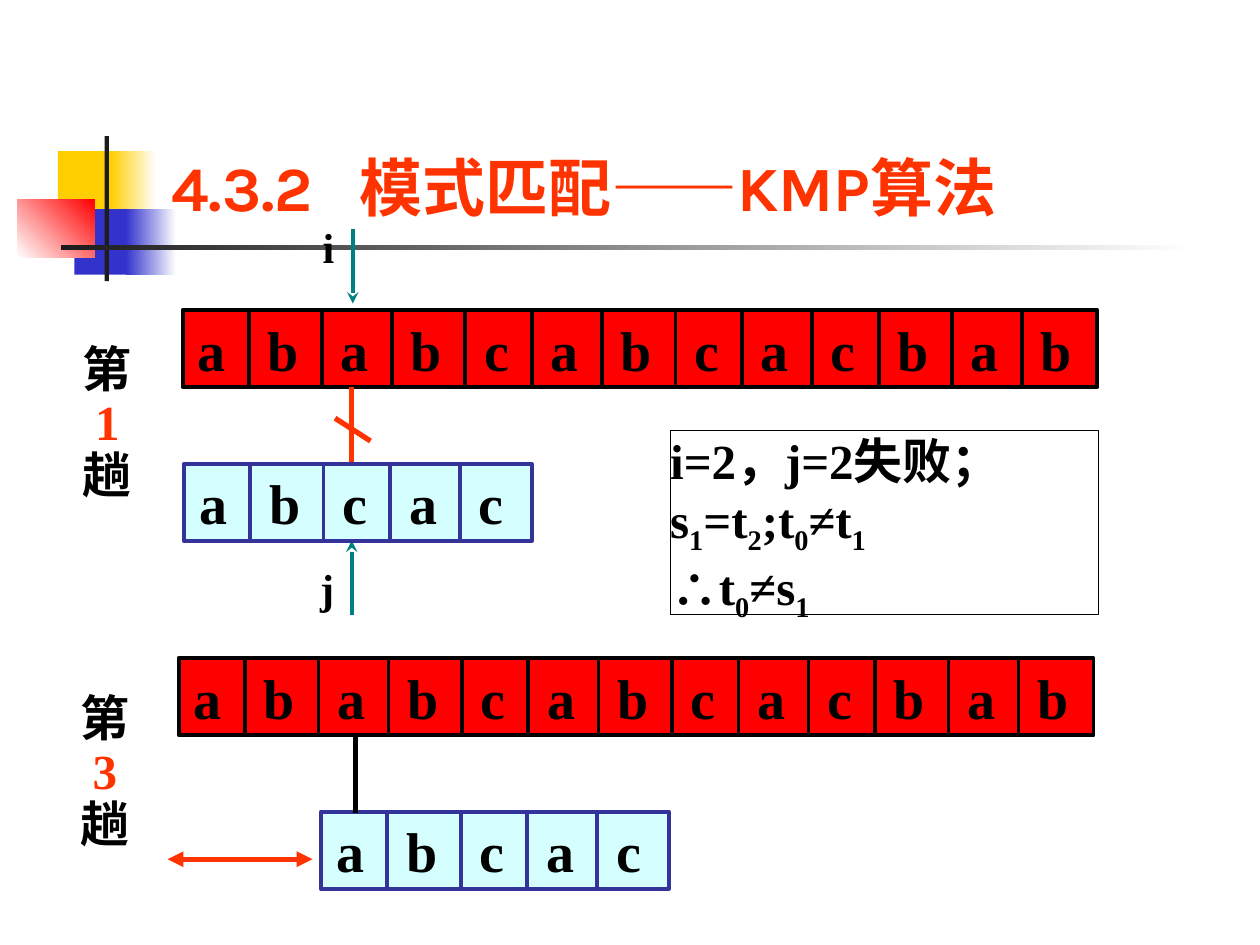
from itertools import accumulate

from lxml import etree
from pptx import Presentation
from pptx import util as u
from pptx.dml import color
from pptx.enum import shapes, text
from pptx.oxml import ns

SERIF = "Times New Roman"
BLACK, RED, ORANGE, TEAL, NAVY = "000000", "FF0000", "FF3300", "008080", "333399"
ADVANCE = {"a": 40, "b": 41.8, "c": 38.2}
INSET = 8.64
ROW_HEIGHT = 44.2


def rgb(code):
    """Turn a hex string into a colour."""
    return color.RGBColor.from_string(code)


def add_element(parent, tag, **attributes):
    """Append a DrawingML element to a parent."""
    return etree.SubElement(parent, ns.qn(tag), attributes)


def write(box, paragraphs, size=28, font=SERIF, ink=BLACK, bold=True, insets=(0, 0, 0, 0),
          anchor=text.MSO_ANCHOR.TOP, wrap=True, line_spacing=None, tabs=()):
    """Fill a box with paragraphs, each a list of (words, overrides) spans."""
    frame = box.text_frame
    frame.word_wrap = wrap
    frame.vertical_anchor = anchor
    frame.margin_left, frame.margin_top, frame.margin_right, frame.margin_bottom = map(u.Pt, insets)
    for index, spans in enumerate(paragraphs):
        para = frame.add_paragraph() if index else frame.paragraphs[0]
        para.alignment = text.PP_ALIGN.LEFT
        if line_spacing:
            para.line_spacing = line_spacing
        if tabs:
            stops = add_element(para._p.get_or_add_pPr(), "a:tabLst")
            for stop in tabs:
                add_element(stops, "a:tab", pos=str(int(u.Pt(stop))), algn="l")
        for words, override in spans:
            span = para.add_run()
            span.text = words
            span.font.size = u.Pt(size)
            span.font.bold = bold
            span.font.name = override.get("font", font)
            span.font.color.rgb = rgb(override.get("ink", ink))
            if "baseline" in override:
                span.font._element.set("baseline", override["baseline"])


def add_text(page, left, top, width, height, paragraphs, **style):
    """Add a text box with formatted text."""
    box = page.shapes.add_textbox(*map(u.Pt, (left, top, width, height)))
    write(box, paragraphs, **style)


def add_rect(page, left, top, width, height, fill=None, fade=None, angle=0, line=None, weight=2.25):
    """Add a rectangle with a plain, faded or empty fill."""
    box = page.shapes.add_shape(shapes.MSO_SHAPE.RECTANGLE, *map(u.Pt, (left, top, width, height)))
    box.shadow.inherit = False
    if fade:
        box.fill.gradient()
        box.fill.gradient_angle = angle
        for stop, code in zip(box.fill.gradient_stops, fade):
            stop.color.rgb = rgb(code)
    elif fill:
        box.fill.solid()
        box.fill.fore_color.rgb = rgb(fill)
    else:
        box.fill.background()
    if line:
        box.line.color.rgb = rgb(line)
        box.line.width = u.Pt(weight)
    else:
        box.line.fill.background()
    return box


def add_line(page, start, end, ink, weight=2.25, head=None, tail=None):
    """Add a straight line with optional arrowheads."""
    line = page.shapes.add_connector(shapes.MSO_CONNECTOR.STRAIGHT, *map(u.Pt, (*start, *end)))
    line.line.color.rgb = rgb(ink)
    line.line.width = u.Pt(weight)
    outline = line.line._get_or_add_ln()
    for tag, kind in (("a:headEnd", head), ("a:tailEnd", tail)):
        if kind:
            add_element(outline, tag, type=kind)
    add_element(line._element.spPr, "a:effectLst")


def add_string(page, left, top, width, letters, fill, ink):
    """Add a character string as a bar divided into one cell per letter."""
    bar = add_rect(page, left, top, width, ROW_HEIGHT, fill=fill, line=ink)
    tabs = list(accumulate(ADVANCE[letter] for letter in letters[:-1]))
    write(bar, [[("\t".join(letters), {})]], size=32, insets=(INSET, 0, 1.44, 0),
          anchor=text.MSO_ANCHOR.MIDDLE, tabs=tabs)
    for tab in tabs:
        x = left + tab - 2
        add_line(page, (x, top), (x, top + ROW_HEIGHT), ink)


def add_subject(page, left, top):
    """Add the string being searched."""
    add_string(page, left, top, 522.7, "ababcabcacbab", RED, BLACK)


def add_pattern(page, left, top):
    """Add the pattern being matched."""
    add_string(page, left, top, 198.7, "abcac", "D5FFFF", NAVY)


def add_pass_label(page, left, top, number):
    """Add the vertical label of a matching pass."""
    add_text(page, left, top, 51, 98, [[("第", {})], [(f" {number}", {"ink": ORANGE})], [("趟", {})]],
             insets=(7.2, 3.6, 7.2, 3.6), line_spacing=0.9)


def add_pointer(page, name, left, top, start, end):
    """Add an index name and its arrow."""
    add_line(page, start, end, TEAL, tail="stealth")
    add_text(page, left, top, 18, 36, [[(name, {})]], size=24, insets=(0, 3.6, 0, 3.6))


def subscripted(formula):
    """Split a formula at bars into alternating normal and subscript spans."""
    return [(part, {"baseline": "-25000"} if index % 2 else {})
            for index, part in enumerate(formula.split("|"))]


def add_decoration(page):
    """Add the coloured squares and the rule under the title."""
    add_rect(page, 33.1, 86.4, 34.6, 37.4, fill="FFCF01")
    add_rect(page, 63.4, 86.4, 25.9, 37.4, fade=("FFCF01", "FFFFFF"))
    add_rect(page, 42.5, 119.5, 33.1, 37.4, fill="3333CC")
    add_rect(page, 72, 119.5, 28.8, 37.4, fade=("3333CC", "FFFFFF"))
    add_rect(page, 10, 113.8, 44, 33.1, fade=("FFFFFF", RED), angle=45)
    add_rect(page, 59.8, 77.8, 2.5, 82.8, fill="1C1C1C")
    add_rect(page, 34.6, 140.2, 648, 2.5, fade=("1C1C1C", "FFFFFF"))


def add_first_pass(page):
    """Add the first matching pass with its mismatch."""
    add_subject(page, 104.4, 177.1)
    add_line(page, (201, 221), (201, 265.5), ORANGE, 3)
    add_line(page, (191.5, 239), (211.7, 252), ORANGE, 3)
    add_pointer(page, "i", 184.3, 123.1, (201.6, 131), (201.6, 173.5))
    add_pointer(page, "j", 182.9, 318.2, (201, 351.4), (201, 308.9))
    add_pass_label(page, 40.3, 193.7, 1)
    add_pattern(page, 105.1, 265)


def add_third_pass(page):
    """Add the third matching pass with its shift."""
    add_subject(page, 102.2, 376)
    add_pattern(page, 183.4, 463.8)
    add_pass_label(page, 38.9, 393.1, 3)
    add_line(page, (203, 420.5), (203, 464.4), BLACK, 3)
    add_line(page, (95.8, 491), (178.6, 491), ORANGE, 3, head="triangle", tail="triangle")


def main():
    """Build the slide and save the deck."""
    deck = Presentation()
    deck.slide_width, deck.slide_height = u.Pt(720), u.Pt(540)
    page = deck.slides.add_slide(deck.slide_layouts[6])
    add_decoration(page)
    note = add_rect(page, 383, 246.2, 244.8, 105.1, line=BLACK, weight=0.75)
    write(note, [subscripted("i=2，j=2失败； s|1|=t|2|;t|0|≠t|1"), subscripted("∴t|0|≠s|1")])
    add_first_pass(page)
    add_third_pass(page)
    title = [("4.3.2\t模式匹配", {}), ("——", {"font": "Arial"}), ("KMP算法", {})]
    add_text(page, 90.7, 16.6, 613.4, 115.2, [title], size=36, font="Karla", ink=ORANGE,
             insets=(7.2, 3.6, 7.2, 3.6), anchor=text.MSO_ANCHOR.BOTTOM, tabs=[107.5])
    deck.save("out.pptx")


if __name__ == "__main__":
    main()
